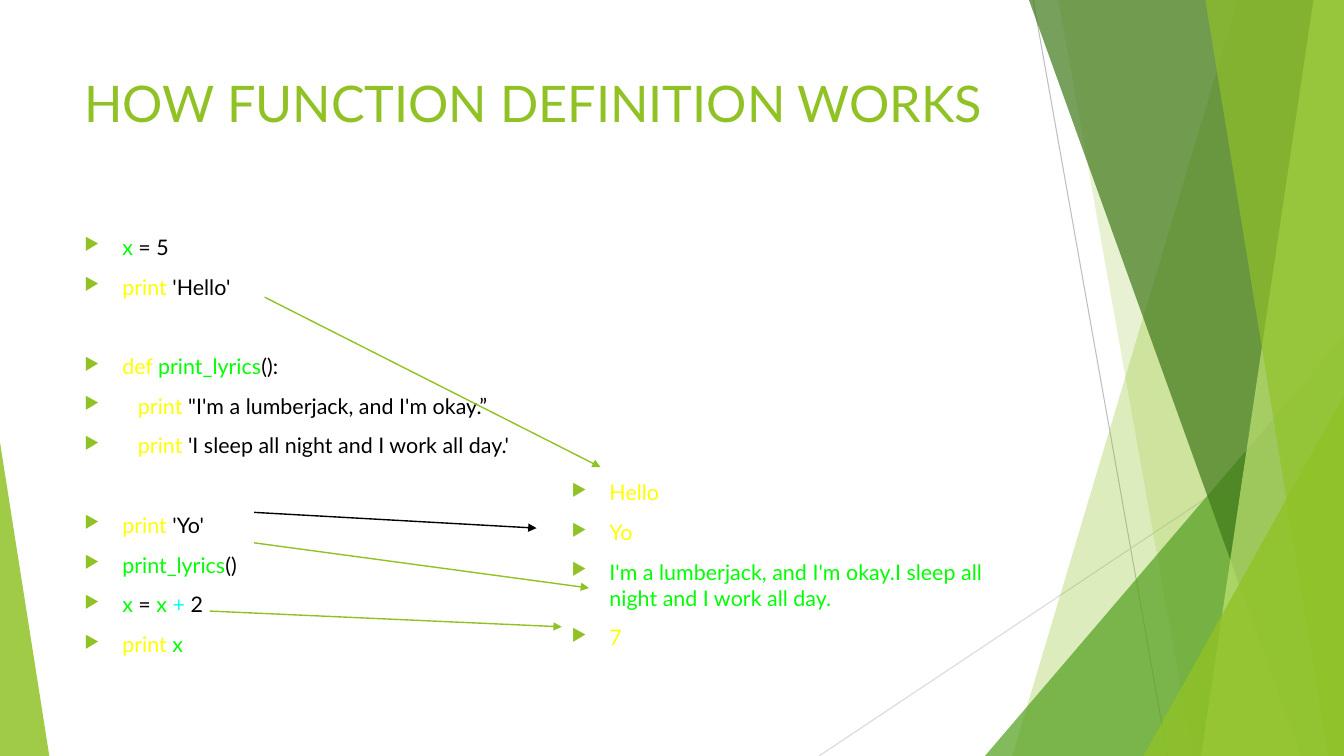
from dataclasses import dataclass

from lxml.etree import SubElement
from pptx import Presentation
from pptx.dml.color import RGBColor
from pptx.enum.shapes import MSO_CONNECTOR, MSO_SHAPE
from pptx.enum.text import MSO_ANCHOR
from pptx.oxml.ns import qn
from pptx.util import Pt

PX = 9525  # EMU per px, 96 px to the inch
WIDTH, HEIGHT = 1280, 720
FONT = "Lato"
BODY_SIZE = 15.3
PARAGRAPH_GAP = 10
SECTION_GAP = 38.4
BULLET_INDENT = 36
CODE_INDENT = 15

LIME, GREEN, FOREST, PALE = "90C226", "54A021", "3F7819", "C0E474"
BLACK, YELLOW, NAME_GREEN, CYAN = "000000", "FFFF00", "00FF00", "00FFFF"


@dataclass(frozen=True)
class Band:
    """Area from a slanted edge to the right side of the slide."""
    top_x: int
    bottom_x: int
    color: str
    alpha: int


@dataclass(frozen=True)
class Corner:
    left: int
    top: int
    width: int
    height: int
    apex: float
    color: str
    alpha: int


@dataclass(frozen=True)
class Line:
    x1: int
    y1: int
    x2: int
    y2: int
    color: str
    weight: float = 1
    arrow: bool = True


@dataclass(frozen=True)
class Bullet:
    runs: tuple[tuple[str, str], ...]
    gap: float = PARAGRAPH_GAP
    indent: int = 0


GUIDES = [
    Line(984, 0, 1112, 720, "BFBFBF", 0.75, False),
    Line(1280, 387, 780, 720, "D9D9D9", 0.75, False),
]
FACETS = [
    Band(1179, 964, LIME, 30),
    Band(1008, 1136, LIME, 20),
    Corner(938, 320, 342, 400, 1, GREEN, 72),
    Band(980, 1239, FOREST, 70),
    Band(1251, 1144, PALE, 70),
    Band(1148, 1265, LIME, 65),
    Corner(1089, 377, 191, 343, 1, LIME, 80),
    Corner(0, 421, 47, 299, 0, LIME, 85),
]
PROGRAM = [
    Bullet((("x", NAME_GREEN), (" = 5", BLACK))),
    Bullet((("print", YELLOW), (" 'Hello'", BLACK))),
    Bullet((("def ", YELLOW), ("print_lyrics", NAME_GREEN), ("():", BLACK)), SECTION_GAP),
    Bullet((("print", YELLOW), (" \"I'm a lumberjack, and I'm okay.”", BLACK)), indent=CODE_INDENT),
    Bullet((("print", YELLOW), (" 'I sleep all night and I work all day.'", BLACK)), indent=CODE_INDENT),
    Bullet((("print", YELLOW), (" 'Yo'", BLACK)), SECTION_GAP),
    Bullet((("print_lyrics", NAME_GREEN), ("()", BLACK))),
    Bullet((("x", NAME_GREEN), (" = ", BLACK), ("x ", NAME_GREEN), ("+", CYAN), (" 2", BLACK))),
    Bullet((("print ", YELLOW), ("x", NAME_GREEN))),
]
OUTPUT = [
    Bullet((("Hello", YELLOW),)),
    Bullet((("Yo", YELLOW),)),
    Bullet((("I'm a lumberjack, and I'm okay.I sleep all night and I work all day.", NAME_GREEN),)),
    Bullet((("7", YELLOW),)),
]
ARROWS = [
    Line(242, 488, 511, 503, BLACK),
    Line(252, 283, 572, 445, LIME),
    Line(242, 517, 561, 560, LIME),
    Line(200, 582, 535, 597, LIME),
]


def px(*lengths: int) -> list[int]:
    return [n * PX for n in lengths]


def rgb(color: str) -> RGBColor:
    return RGBColor.from_string(color)


def add_line(slide, line: Line) -> None:
    cxn = slide.shapes.add_connector(
        MSO_CONNECTOR.STRAIGHT, *px(line.x1, line.y1, line.x2, line.y2))
    cxn.line.color.rgb = rgb(line.color)
    cxn.line.width = Pt(line.weight)
    sp_pr = cxn.element.spPr
    if line.arrow:
        SubElement(sp_pr.find(qn("a:ln")), qn("a:tailEnd"), type="triangle")
    SubElement(sp_pr, qn("a:effectLst"))


def add_facet(slide, facet: Band | Corner) -> None:
    if isinstance(facet, Band):
        builder = slide.shapes.build_freeform(facet.top_x, 0, scale=PX)
        builder.add_line_segments(
            [(WIDTH, 0), (WIDTH, HEIGHT), (facet.bottom_x, HEIGHT)], close=True)
        sp = builder.convert_to_shape()
    else:
        sp = slide.shapes.add_shape(
            MSO_SHAPE.ISOSCELES_TRIANGLE,
            *px(facet.left, facet.top, facet.width, facet.height))
        sp.adjustments[0] = facet.apex
    sp.shadow.inherit = False
    sp.line.fill.background()
    sp.fill.solid()
    sp.fill.fore_color.rgb = rgb(facet.color)
    fill = sp.element.spPr.find(qn("a:solidFill"))
    SubElement(fill[0], qn("a:alpha"), val=str(facet.alpha * 1000))


def add_text_frame(slide, left: int, top: int, width: int, height: int):
    tf = slide.shapes.add_textbox(*px(left, top, width, height)).text_frame
    tf.word_wrap = True
    tf.vertical_anchor = MSO_ANCHOR.TOP
    return tf


def add_run(p, text: str, *, size: float, color: str) -> None:
    r = p.add_run()
    r.text = text
    r.font.name = FONT
    r.font.size = Pt(size)
    r.font.color.rgb = rgb(color)


def add_bullets(tf, bullets: list[Bullet]) -> None:
    for i, bullet in enumerate(bullets):
        p = tf.add_paragraph() if i else tf.paragraphs[0]
        p.space_before = Pt(bullet.gap)
        p_pr = p._p.get_or_add_pPr()
        margin = (BULLET_INDENT + bullet.indent) * PX
        p_pr.set("marL", str(margin))
        p_pr.set("indent", str(-margin))
        SubElement(SubElement(p_pr, qn("a:buClr")), qn("a:srgbClr"), val=LIME)
        SubElement(p_pr, qn("a:buSzPct"), val="80000")
        SubElement(p_pr, qn("a:buChar"), char="▶")
        for text, color in bullet.runs:
            add_run(p, text, size=BODY_SIZE, color=color)


def main() -> None:
    prs = Presentation()
    prs.slide_width, prs.slide_height = px(WIDTH, HEIGHT)
    slide = prs.slides.add_slide(prs.slide_layouts[6])
    for guide in GUIDES:
        add_line(slide, guide)
    for facet in FACETS:
        add_facet(slide, facet)
    title = add_text_frame(slide, 71, 64, 902, 138)
    add_run(title.paragraphs[0], "HOW FUNCTION DEFINITION WORKS", size=36, color=LIME)
    add_bullets(add_text_frame(slide, 71, 218, 440, 407), PROGRAM)
    add_bullets(add_text_frame(slide, 535, 452, 440, 182), OUTPUT)
    for arrow in ARROWS:
        add_line(slide, arrow)
    prs.save("out.pptx")


if __name__ == "__main__":
    main()
